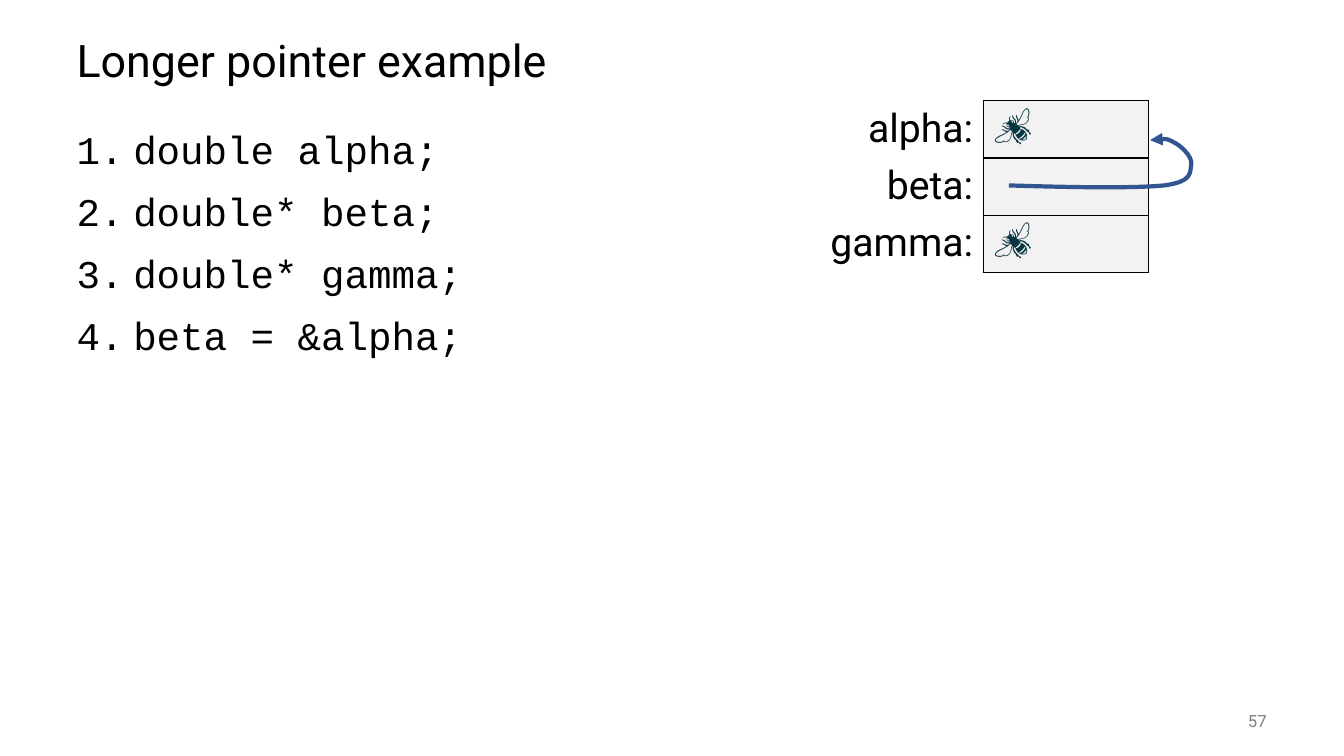
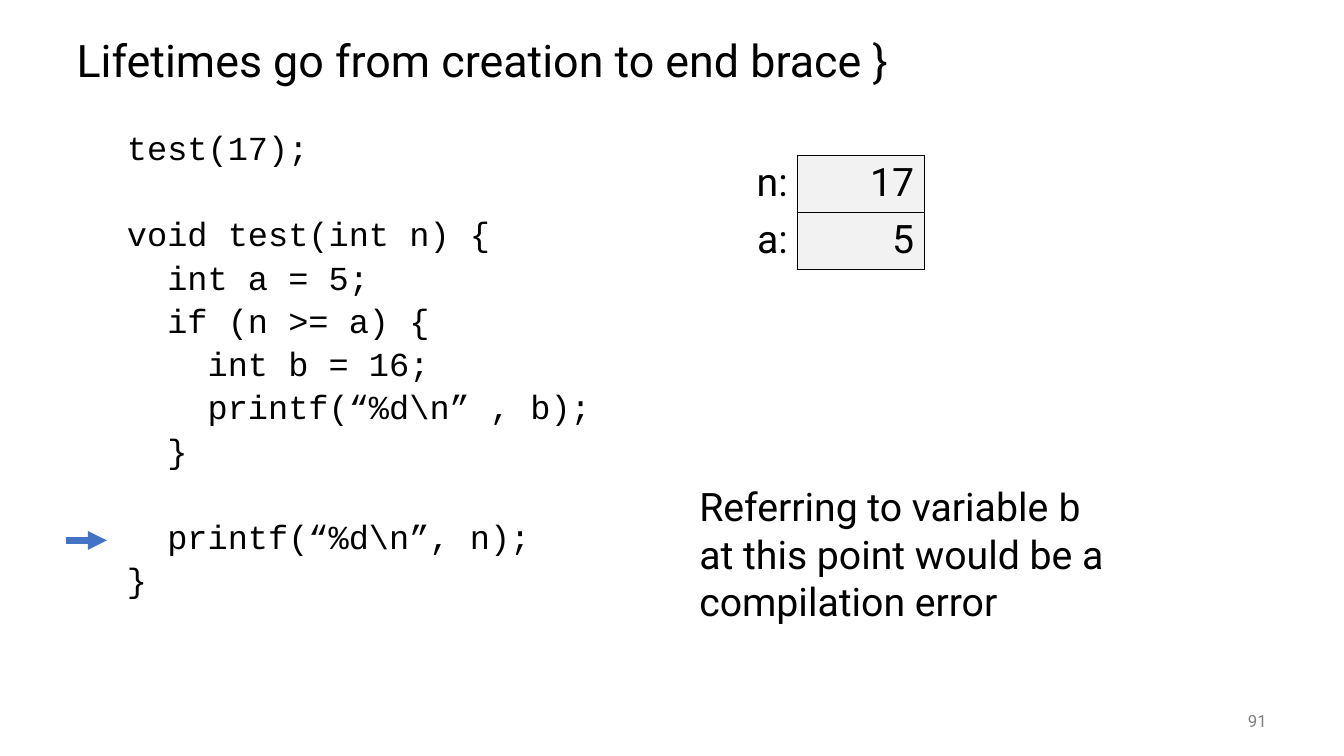
"""Builds two slides on pointers and variable lifetimes in C."""
from lxml import etree
from pptx import Presentation
from pptx.dml.color import RGBColor
from pptx.enum import shapes, text
from pptx.oxml.ns import qn
from pptx.util import Pt

SANS, MONO = "Roboto", "Courier New"
BLACK, GREY, CELL, BEE = "000000", "808080", "F2F2F2", "073642"
BLUE, NAVY = "4472C4", "325491"
ROW_HEIGHT = 40


def rgb(color):
    """Return a colour from a hex string."""
    return RGBColor.from_string(color)


def add_xml(parent, tag, **attrs):
    """Append a drawing element and return it."""
    return etree.SubElement(parent, qn(tag), attrs)


def style(p, size, name=SANS, color=BLACK, align=text.PP_ALIGN.LEFT):
    """Set the font and alignment of a paragraph."""
    p.alignment = align
    p.font.size, p.font.name = Pt(size), name
    p.font.color.rgb = rgb(color)


def place(sp, left, top, width, height):
    """Move and size a shape."""
    sp.left, sp.top, sp.width, sp.height = map(Pt, (left, top, width, height))


def prepare_layout(prs):
    """Position the shared title and body placeholders."""
    layout = prs.slide_layouts[1]
    place(layout.placeholders[0], 47.5, 18, 864, 54)
    place(layout.placeholders[1], 47.5, 90, 864, 396)
    return layout


def add_textbox(slide, left, top, width, height):
    """Add a wrapping text box and return its text frame."""
    tf = slide.shapes.add_textbox(*map(Pt, (left, top, width, height))).text_frame
    tf.word_wrap = True
    return tf


def add_slide(prs, layout, title, number):
    """Add a slide with its title and page number."""
    slide = prs.slides.add_slide(layout)
    tf = slide.shapes.title.text_frame
    tf.text = title
    tf.vertical_anchor = text.MSO_ANCHOR.MIDDLE
    tf.paragraphs[0].line_spacing = 0.9
    style(tf.paragraphs[0], 32)
    tf = add_textbox(slide, 840, 500.4, 72, 28.8)
    tf.text = number
    tf.vertical_anchor = text.MSO_ANCHOR.MIDDLE
    style(tf.paragraphs[0], 12, color=GREY, align=text.PP_ALIGN.RIGHT)
    return slide


def add_code(slide, lines, size, gap, margin, numbered=False, breaks=(), break_gap=0):
    """Fill the body with code, with wider gaps before the lines in breaks."""
    tf = slide.placeholders[1].text_frame
    tf.auto_size = text.MSO_AUTO_SIZE.NONE
    for i, line in enumerate(lines):
        p = tf.paragraphs[0] if i == 0 else tf.add_paragraph()
        p.text = line
        p.level = 0 if numbered else 1
        p.line_spacing = 0.9
        p.space_before = Pt(0 if i == 0 else break_gap if i in breaks else gap)
        pPr = p._p.get_or_add_pPr()
        pPr.set("marL", str(Pt(margin)))
        pPr.set("indent", str(Pt(-margin if numbered else 0)))
        if numbered:
            add_xml(pPr, "a:buFontTx")
            add_xml(pPr, "a:buAutoNum", type="arabicPeriod")
        else:
            add_xml(pPr, "a:buNone")
        style(p, size, MONO)


def set_borders(cell, visible):
    """Draw black borders on the visible sides and none on the others."""
    tcPr = cell._tc.get_or_add_tcPr()
    for side in "LRTB":
        ln = add_xml(tcPr, f"a:ln{side}", w=str(Pt(1)))
        if side in visible:
            add_xml(add_xml(ln, "a:solidFill"), "a:srgbClr", val=BLACK)
        else:
            add_xml(ln, "a:noFill")


def add_memory(slide, left, top, column, variables, **value_style):
    """Add a table of variable names and boxed values."""
    frame = slide.shapes.add_table(
        len(variables), 2, Pt(left), Pt(top), Pt(2 * column), Pt(ROW_HEIGHT * len(variables)))
    table = frame.table
    table.first_row = table.horz_banding = False
    for col in table.columns:
        col.width = Pt(column)
    for row, (name, value) in enumerate(variables):
        label, box = table.cell(row, 0), table.cell(row, 1)
        label.text, box.text = name, value
        style(label.text_frame.paragraphs[0], 28, align=text.PP_ALIGN.RIGHT)
        style(box.text_frame.paragraphs[0], 28, **value_style)
        set_borders(label, "R")
        set_borders(box, "LRTB")
        label.fill.background()
        box.fill.solid()
        box.fill.fore_color.rgb = rgb(CELL)


def style_arrow(sp, color, width):
    """Give a line its colour, width and end arrowhead, without shadow."""
    sp.line.color.rgb = rgb(color)
    sp.line.width = Pt(width)
    spPr = sp.element.spPr
    add_xml(spPr.find(qn("a:ln")), "a:tailEnd", type="triangle")
    if spPr.find(qn("a:effectLst")) is None:
        add_xml(spPr, "a:effectLst")


def add_curved_arrow(slide, points, color, width):
    """Add an arrow along cubic curves: a start, then three points a curve."""
    (x, y), *rest = [(Pt(x), Pt(y)) for x, y in points]
    builder = slide.shapes.build_freeform(x, y)
    builder.add_line_segments(rest, close=False)
    sp = builder.convert_to_shape()
    outline = next(sp.element.iter(qn("a:path")))
    segments = outline.findall(qn("a:lnTo"))
    for i in range(0, len(segments), 3):
        curve = add_xml(outline, "a:cubicBezTo")
        for segment in segments[i:i + 3]:
            curve.append(segment[0])
            outline.remove(segment)
    sp.fill.background()
    style_arrow(sp, color, width)


def add_arrow(slide, x1, y1, x2, y2, color, width):
    """Add a straight arrow."""
    sp = slide.shapes.add_connector(
        shapes.MSO_CONNECTOR.STRAIGHT, *map(Pt, (x1, y1, x2, y2)))
    style_arrow(sp, color, width)


def add_note(slide, left, top, width, height, pieces):
    """Add a note made of (text, font) pieces."""
    tf = add_textbox(slide, left, top, width, height)
    tf.auto_size = text.MSO_AUTO_SIZE.SHAPE_TO_FIT_TEXT
    p = tf.paragraphs[0]
    style(p, 28)
    for words, name in pieces:
        r = p.add_run()
        r.text = words
        r.font.name = name


def pointer_slide(prs, layout):
    """Build the pointer example."""
    slide = add_slide(prs, layout, "Longer pointer example", "57")
    lines = ["double alpha;", "double* beta;", "double* gamma;", "beta = &alpha;"]
    add_code(slide, lines, 28, 14, 40.5, numbered=True)
    variables = [("alpha:", "🐝"), ("beta:", ""), ("gamma:", "🐝")]
    add_memory(slide, 584, 72, 118.3, variables, name=MONO, color=BEE)
    points = [(720.7, 132.5), (765.4, 133.9), (810, 134.6), (831.6, 132.5),
              (853.2, 129.6), (849.6, 122.4), (851, 117.4),
              (851.8, 111.6), (843.1, 103.7), (838.1, 101.5),
              (833, 98.6), (827.3, 99.4), (821.5, 100.1)]
    add_curved_arrow(slide, points, NAVY, 3)


def lifetime_slide(prs, layout):
    """Build the lifetime example."""
    slide = add_slide(prs, layout, "Lifetimes go from creation to end brace }", "91")
    lines = ["test(17);", "void test(int n) {", "  int a = 5;", "  if (n >= a) {",
             "    int b = 16;", "    printf(“%d\\n” , b);", "  }",
             "  printf(“%d\\n”, n);", "}"]
    add_code(slide, lines, 24, 5, 36, breaks=(1, 7), break_gap=36)
    add_memory(slide, 479.7, 110.9, 90.2, [("n:", "17"), ("a:", "5")],
               align=text.PP_ALIGN.RIGHT)
    add_arrow(slide, 47.5, 386, 76.3, 386, BLUE, 4.5)
    add_note(slide, 492.5, 341.3, 304.6, 108.7,
             [("Referring to variable ", SANS), ("b", MONO),
              (" at this point would be a compilation error", SANS)])


def main():
    """Build and save the presentation."""
    prs = Presentation()
    prs.slide_width, prs.slide_height = Pt(960), Pt(540)
    layout = prepare_layout(prs)
    pointer_slide(prs, layout)
    lifetime_slide(prs, layout)
    prs.save("out.pptx")


if __name__ == "__main__":
    main()
